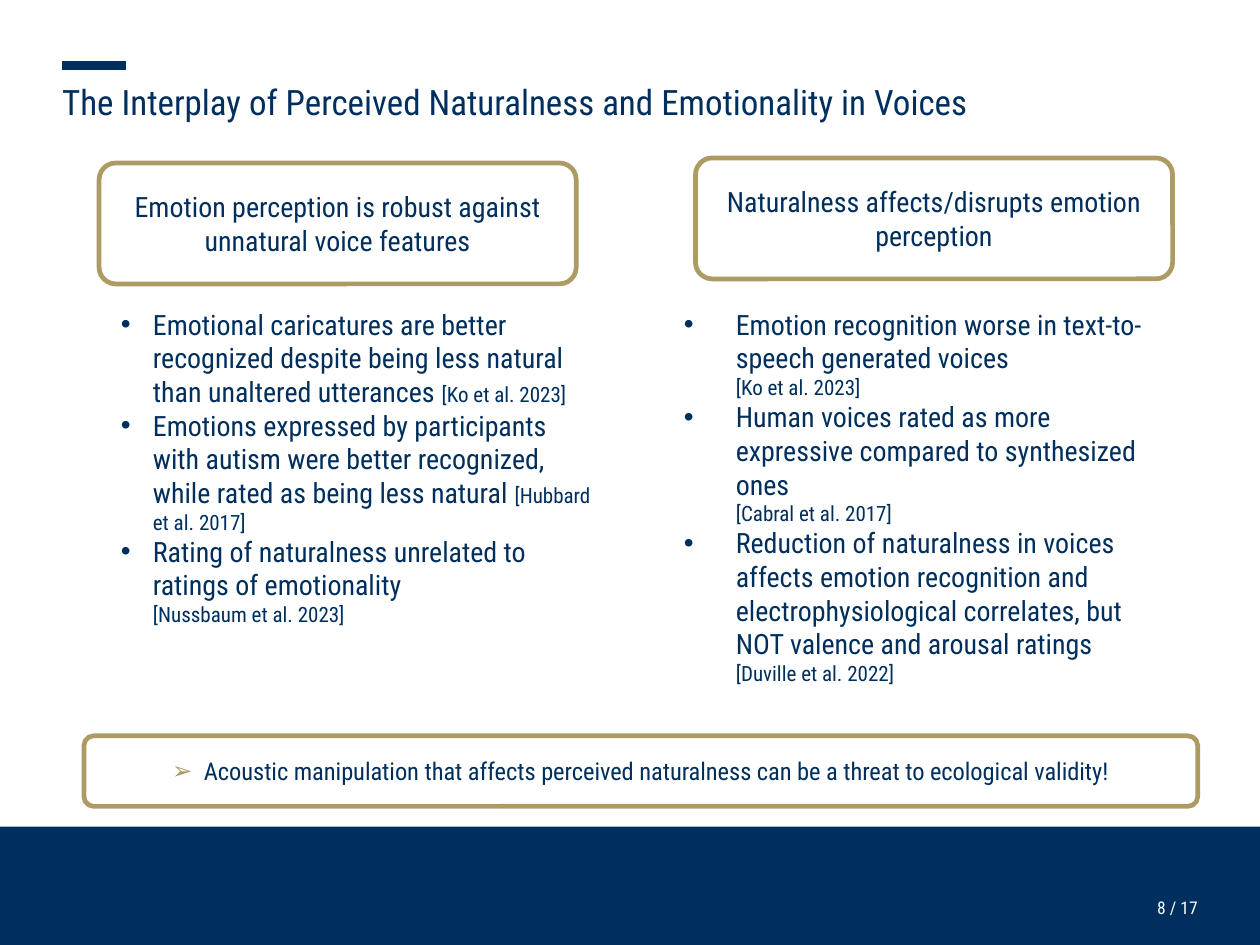
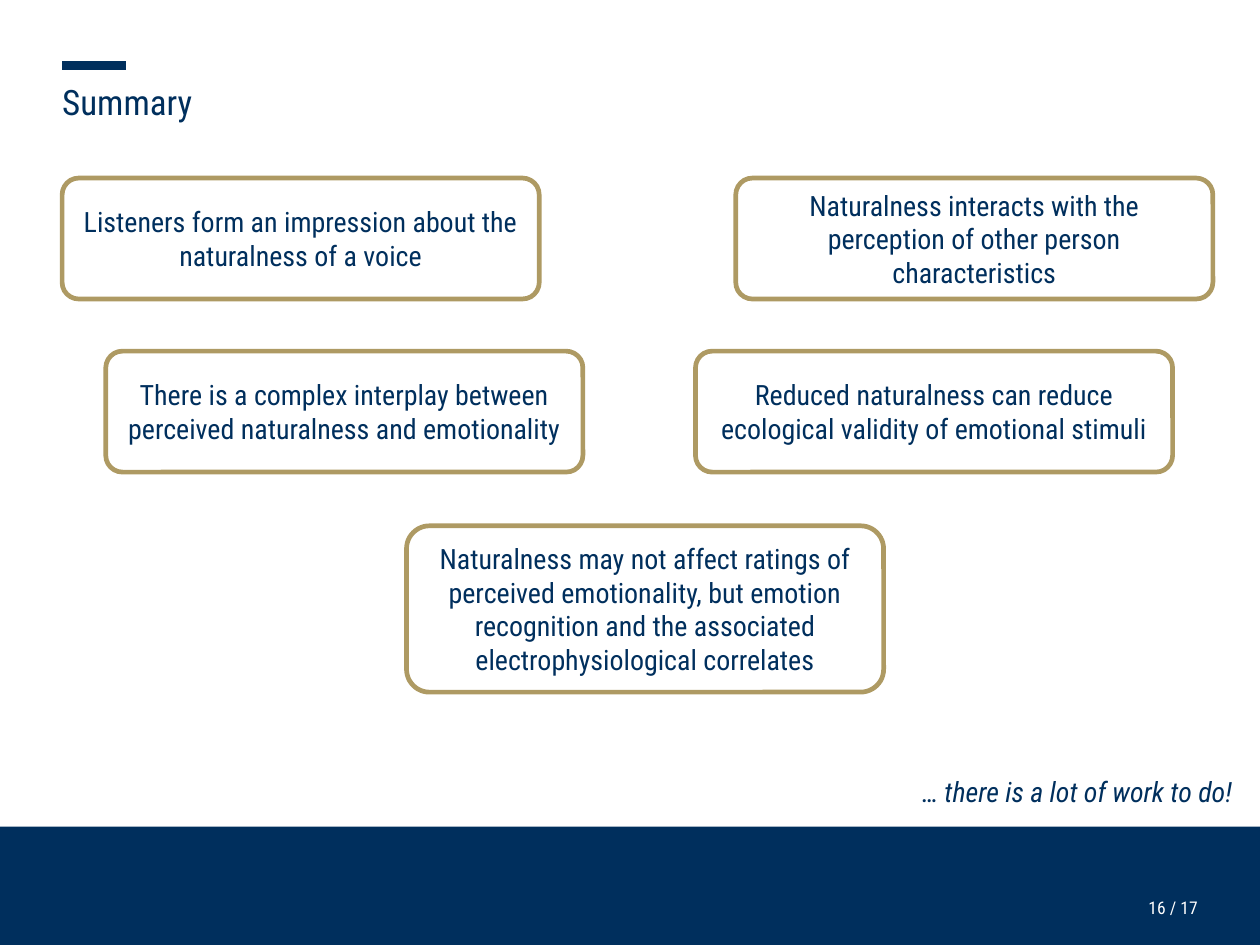
from lxml import etree
from pptx import Presentation
from pptx.dml.color import RGBColor
from pptx.enum.shapes import MSO_CONNECTOR, MSO_SHAPE
from pptx.enum.text import MSO_ANCHOR, MSO_AUTO_SIZE, PP_ALIGN
from pptx.oxml.ns import qn
from pptx.util import Inches, Pt

RECTANGLE, ROUNDED = MSO_SHAPE.RECTANGLE, MSO_SHAPE.ROUNDED_RECTANGLE
STRAIGHT = MSO_CONNECTOR.STRAIGHT
TOP, MIDDLE = MSO_ANCHOR.TOP, MSO_ANCHOR.MIDDLE
LEFT, CENTER, RIGHT = PP_ALIGN.LEFT, PP_ALIGN.CENTER, PP_ALIGN.RIGHT
NO_FIT = MSO_AUTO_SIZE.NONE

NAVY, GOLD, WHITE = "002F5D", "AE9A63", "FFFFFF"
FONT = "Roboto Condensed"
PAGE_COUNT = 17
PAGE_WIDTH = 7.5
PAGE_HEIGHT = PAGE_WIDTH * 3 / 4
BAND_TOP = 4.92
LAYOUT_TWO_CONTENT, LAYOUT_TITLE_ONLY = 3, 5
CARD_WIDTH, CARD_HEIGHT = 2.84, 0.72

# Each finding: statement, citation, whether the citation starts a new line
COLUMNS = [
    {
        "heading": "Emotion perception is robust against unnatural voice features",
        "card_at": (0.59, 0.97),
        "list_at": (0.62, 1.78, 3.01, 2.02),
        "indent": 0.19,
        "findings": [
            ("Emotional caricatures are better recognized despite being less natural "
             "than unaltered utterances ", "[Ko et al. 2023]", False),
            ("Emotions expressed by participants with autism were better recognized, "
             "while rated as being less natural ", "[Hubbard et al. 2017]", False),
            ("Rating of naturalness unrelated to ratings of emotionality ",
             "[Nussbaum et al. 2023]", True),
        ],
    },
    {
        "heading": "Naturalness affects/disrupts emotion perception",
        "card_at": (4.14, 0.94),
        "list_at": (3.97, 1.78, 3.01, 2.57),
        "indent": 0.31,
        "findings": [
            ("Emotion recognition worse in text-to-speech generated voices ",
             "[Ko et al. 2023]", True),
            ("Human voices rated as more expressive compared to synthesized ones ",
             "[Cabral et al. 2017]", True),
            ("Reduction of naturalness in voices affects emotion recognition and "
             "electrophysiological correlates, but NOT valence and arousal ratings ",
             "[Duville et al. 2022]", True),
        ],
    },
]
CONCLUSION = ("Acoustic manipulation that affects perceived naturalness "
              "can be a threat to ecological validity!")

# Each card: text, left, top, height
SUMMARY_CARDS = [
    ("Listeners form an impression about the naturalness of a voice",
     0.37, 1.06, CARD_HEIGHT),
    ("Naturalness interacts with the perception of other person characteristics",
     4.38, 1.06, CARD_HEIGHT),
    ("There is a complex interplay between perceived naturalness and emotionality",
     0.63, 2.09, CARD_HEIGHT),
    ("Reduced naturalness can reduce ecological validity of emotional stimuli",
     4.14, 2.09, CARD_HEIGHT),
    ("Naturalness may not affect ratings of perceived emotionality, but emotion "
     "recognition and the associated electrophysiological correlates",
     2.42, 3.13, 0.99),
]


def color(value):
    return RGBColor.from_string(value)


def place(shape, left, top, width, height):
    shape.left, shape.top = Inches(left), Inches(top)
    shape.width, shape.height = Inches(width), Inches(height)


def set_frame(shape, anchor=TOP, inset=None):
    frame = shape.text_frame
    frame.word_wrap = True
    frame.auto_size = NO_FIT
    frame.vertical_anchor = anchor
    if inset is not None:
        frame.margin_left = frame.margin_right = Inches(inset)
        frame.margin_top = frame.margin_bottom = Inches(inset)
    return frame


def add_span(para, text, size, ink=NAVY, italic=False):
    span = para.add_run()
    span.text = text
    span.font.name = FONT
    span.font.size = Pt(size)
    span.font.italic = italic
    span.font.color.rgb = color(ink)


def set_bullet(para, char, indent, ink=NAVY):
    """Give the paragraph a hanging bullet."""
    properties = para._p.get_or_add_pPr()
    properties.set("marL", str(Inches(indent)))
    properties.set("indent", str(-Inches(indent)))
    bullet_color = etree.SubElement(properties, qn("a:buClr"))
    etree.SubElement(bullet_color, qn("a:srgbClr"), val=ink)
    etree.SubElement(properties, qn("a:buFont"), typeface="Arial")
    etree.SubElement(properties, qn("a:buChar"), char=char)


def add_box(page, kind, at, fill, line=None):
    box = page.shapes.add_shape(kind, *map(Inches, at))
    box.shadow.inherit = False
    box.fill.solid()
    box.fill.fore_color.rgb = color(fill)
    if line:
        box.line.color.rgb = color(line)
        box.line.width = Pt(2)
    else:
        box.line.fill.background()
    return box


def add_card(page, at, text, size=12):
    """Add a gold-framed statement and return its paragraph."""
    card = add_box(page, ROUNDED, at, WHITE, GOLD)
    card.adjustments[0] = 0.138
    para = set_frame(card, MIDDLE).paragraphs[0]
    para.alignment = CENTER
    add_span(para, text, size)
    return para


def add_label(page, at, text, size, ink, align=LEFT, inset=None, italic=False):
    label = page.shapes.add_textbox(*map(Inches, at))
    para = set_frame(label, inset=inset).paragraphs[0]
    para.alignment = align
    add_span(para, text, size, ink, italic)


def add_page(deck, layout, title, number):
    """Add a slide with the shared title, accent line and footer band."""
    page = deck.slides.add_slide(deck.slide_layouts[layout])
    add_box(page, RECTANGLE, (0, BAND_TOP, PAGE_WIDTH, PAGE_HEIGHT - BAND_TOP), NAVY)
    add_label(page, (2.89, 5.34, 4.24, 0.17), f"{number} / {PAGE_COUNT}",
              7.5, WHITE, RIGHT, inset=0)

    accent = page.shapes.add_connector(
        STRAIGHT, Inches(0.37), Inches(0.39), Inches(0.75), Inches(0.39))
    accent.line.color.rgb = color(NAVY)
    accent.line.width = Pt(3.5)
    etree.SubElement(accent._element.spPr, qn("a:effectLst"))

    heading = page.shapes.title
    place(heading, 0.37, 0.48, 6.64, 0.3)
    para = set_frame(heading, inset=0).paragraphs[0]
    para.alignment = LEFT
    add_span(para, title, 15)
    return page


def fill_findings(body, column):
    place(body, *column["list_at"])
    frame = set_frame(body)
    for index, (statement, citation, new_line) in enumerate(column["findings"]):
        para = frame.add_paragraph() if index else frame.paragraphs[0]
        set_bullet(para, "•", column["indent"])
        para.space_before = Pt(0)
        add_span(para, statement, 12)
        if new_line:
            para.add_line_break()
        add_span(para, citation, 9)


def build_interplay(deck):
    page = add_page(deck, LAYOUT_TWO_CONTENT,
                    "The Interplay of Perceived Naturalness and Emotionality in Voices", 8)
    for body, column in zip(list(page.placeholders)[1:], COLUMNS):
        fill_findings(body, column)
        add_card(page, (*column["card_at"], CARD_WIDTH, CARD_HEIGHT), column["heading"])
    conclusion = add_card(page, (0.5, 4.38, 6.63, 0.42), CONCLUSION, 10.5)
    set_bullet(conclusion, "➢", 0.19, GOLD)


def build_summary(deck):
    page = add_page(deck, LAYOUT_TITLE_ONLY, "Summary", 16)
    for text, left, top, height in SUMMARY_CARDS:
        add_card(page, (left, top, CARD_WIDTH, height), text)
    add_label(page, (5.39, 4.56, 2.1, 0.3), "… there is a lot of work to do!",
              12, NAVY, italic=True)


def main():
    deck = Presentation()
    deck.slide_width, deck.slide_height = Inches(PAGE_WIDTH), Inches(PAGE_HEIGHT)
    build_interplay(deck)
    build_summary(deck)
    deck.save("out.pptx")


if __name__ == "__main__":
    main()
